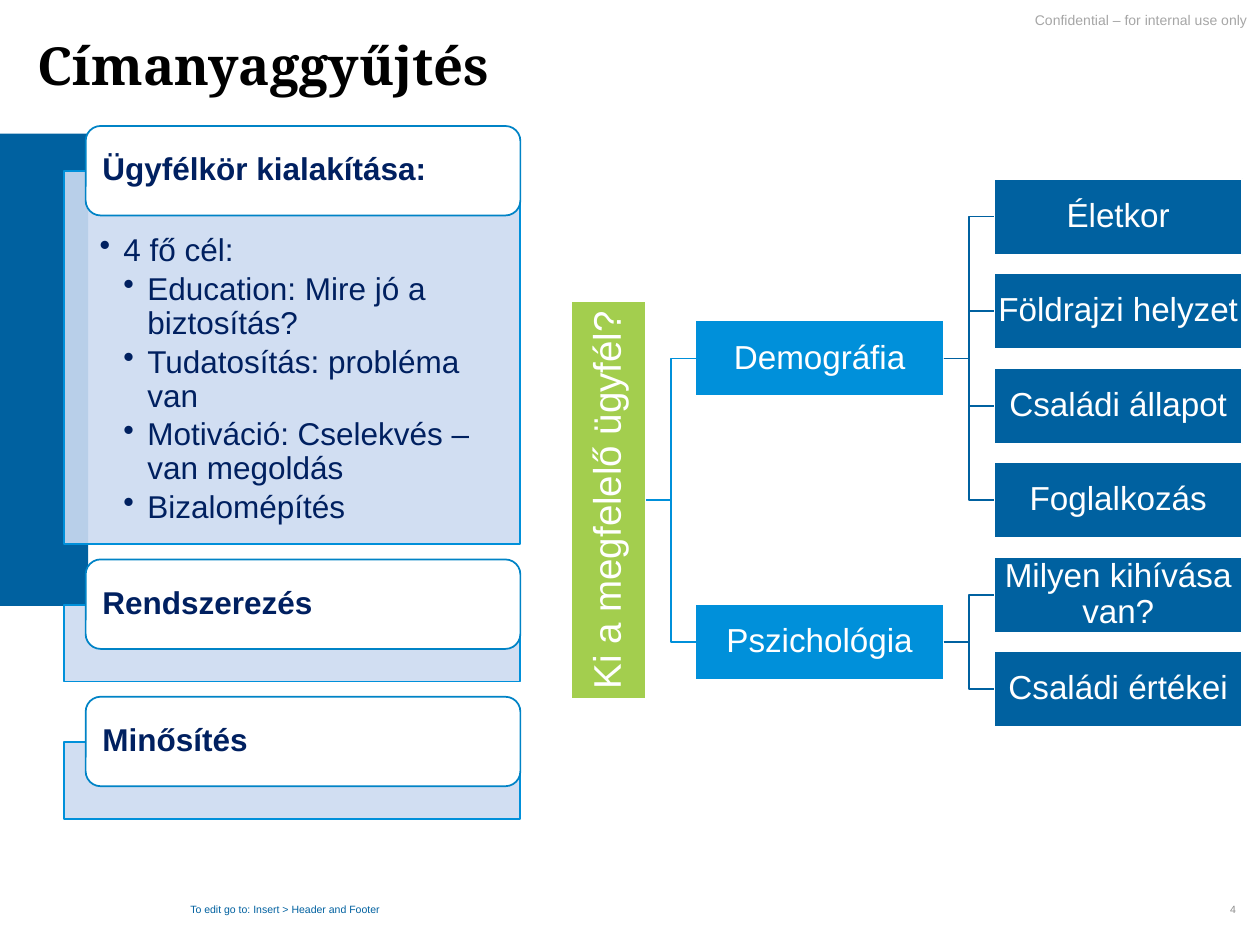
from lxml import etree
from pptx import Presentation
from pptx.dml.color import RGBColor
from pptx.enum import shapes, text
from pptx.oxml.ns import qn
from pptx.util import Inches, Pt

COLORS = {
    "navy": "002060", "blue": "0061A0", "sky": "0090DA", "edge": "0083C6",
    "pale": "CCDBF1", "green": "A3CE4E", "white": "FFFFFF", "black": "000000",
    "gray": "A6A6A6", "number": "8C8C8C",
}
TITLE = "Címanyaggyűjtés"
GOALS = [
    (1, "4 fő cél:"),
    (2, "Education: Mire jó a biztosítás?"),
    (2, "Tudatosítás: probléma van"),
    (2, "Motiváció: Cselekvés – van megoldás"),
    (2, "Bizalomépítés"),
]
STEPS = [
    ("Ügyfélkör kialakítása:", 2.96, GOALS),
    ("Rendszerezés", 0.61, []),
    ("Minősítés", 0.61, []),
]
QUESTION = "Ki a megfelelő ügyfél?"
BRANCHES = [
    ("Demográfia", ["Életkor", "Földrajzi helyzet", "Családi állapot", "Foglalkozás"]),
    ("Pszichológia", ["Milyen kihívása van?", "Családi értékei"]),
]
MARGINAL = [
    ("Confidential – for internal use only", (6.94, 0.11, 3.06, 0.23), 8, "gray",
     text.PP_ALIGN.RIGHT, text.MSO_ANCHOR.TOP, (0.1, 0)),
    ("4", (9.14, 7.02, 0.74, 0.4), 6, "number",
     text.PP_ALIGN.RIGHT, text.MSO_ANCHOR.MIDDLE, (0.07, 0.04)),
    ("To edit go to: Insert > Header and Footer", (1.44, 7.14, 3.38, 0.16), 6, "blue",
     text.PP_ALIGN.LEFT, text.MSO_ANCHOR.MIDDLE, (0.07, 0.04)),
]
STEP_LEFT, STEP_TOP, STEP_WIDTH, STEP_GAP = 0.51, 1.36, 3.62, 0.48
NODE_WIDTH, NODE_HEIGHT, NODE_PITCH = 1.97, 0.6, 0.75
ROOT_LEFT, BRANCH_LEFT, LEAF_LEFT = 4.53, 5.52, 7.89
ROOT_HEIGHT, LEAF_TOP = 3.16, 1.42


def rgb(color):
    return RGBColor.from_string(COLORS[color])


def set_frame(frame, anchor, left, top, right, bottom):
    frame.word_wrap = True
    frame.vertical_anchor = anchor
    frame.margin_left, frame.margin_top = Inches(left), Inches(top)
    frame.margin_right, frame.margin_bottom = Inches(right), Inches(bottom)


def write(paragraph, words, size, color, align=text.PP_ALIGN.LEFT, bold=False,
          font="Arial", spacing=0.9):
    paragraph.alignment = align
    paragraph.line_spacing = spacing
    run = paragraph.add_run()
    run.text = words
    run.font.name, run.font.size, run.font.bold = font, Pt(size), bold
    run.font.color.rgb = rgb(color)


def add_box(slide, box, fill, line=None, kind=shapes.MSO_SHAPE.RECTANGLE):
    shape = slide.shapes.add_shape(kind, *map(Inches, box))
    shape.shadow.inherit = False
    shape.fill.solid()
    shape.fill.fore_color.rgb = rgb(fill)
    if line:
        shape.line.color.rgb = rgb(line)
        shape.line.width = Pt(1)
    else:
        shape.line.fill.background()
    return shape


def add_goals(frame, goals):
    set_frame(frame, text.MSO_ANCHOR.TOP, 0.28, 0.5, 0.28, 0.14)
    for index, (level, words) in enumerate(goals):
        goal = frame.paragraphs[0] if index == 0 else frame.add_paragraph()
        write(goal, words, 18, "navy")
        goal.level = level
        goal.space_after = Pt(2.7)
        properties = goal._p.get_or_add_pPr()
        properties.set("marL", str(Inches(0.19 * level)))
        properties.set("indent", str(Inches(-0.19)))
        etree.SubElement(properties, qn("a:buChar")).set("char", "•")


def add_step(slide, top, heading, height, goals):
    panel = add_box(slide, (STEP_LEFT, top, STEP_WIDTH, height), "pale", "sky")
    tint = panel.fill._xPr.find(qn("a:solidFill"))[0]
    etree.SubElement(tint, qn("a:alpha")).set("val", "90000")
    if goals:
        add_goals(panel.text_frame, goals)
    header = add_box(slide, (STEP_LEFT + 0.17, top - 0.36, STEP_WIDTH - 0.17, 0.71),
                     "white", "edge", shapes.MSO_SHAPE.ROUNDED_RECTANGLE)
    set_frame(header.text_frame, text.MSO_ANCHOR.MIDDLE, 0.1, 0, 0.1, 0)
    write(header.text_frame.paragraphs[0], heading, 18, "navy", bold=True)


def add_node(slide, words, box, fill, size=19, inset=0.01):
    node = add_box(slide, box, fill, "white")
    set_frame(node.text_frame, text.MSO_ANCHOR.MIDDLE, *[inset] * 4)
    write(node.text_frame.paragraphs[0], words, size, "white", text.PP_ALIGN.CENTER)
    return node


def link(slide, parent, child, color):
    elbow = slide.shapes.add_connector(shapes.MSO_CONNECTOR.ELBOW, 0, 0, 0, 0)
    elbow.begin_connect(parent, 3)
    elbow.end_connect(child, 1)
    elbow.line.color.rgb = rgb(color)
    elbow.line.width = Pt(1)
    etree.SubElement(elbow._element.spPr, qn("a:effectLst"))


def add_tree(slide):
    first = 0
    branch_tops = []
    for _, leaves in BRANCHES:
        branch_tops.append(LEAF_TOP + NODE_PITCH * (first + (len(leaves) - 1) / 2))
        first += len(leaves)
    root_middle = sum(branch_tops) / len(branch_tops) + NODE_HEIGHT / 2
    root = add_node(slide, QUESTION,
                    (ROOT_LEFT, root_middle - ROOT_HEIGHT / 2, NODE_HEIGHT, ROOT_HEIGHT),
                    "green", 22, 0.02)
    root.text_frame._txBody.bodyPr.set("vert", "vert270")
    leaf_top = LEAF_TOP
    for (name, leaves), top in zip(BRANCHES, branch_tops):
        branch = add_node(slide, name, (BRANCH_LEFT, top, NODE_WIDTH, NODE_HEIGHT), "sky")
        link(slide, root, branch, "sky")
        for words in leaves:
            leaf = add_node(slide, words, (LEAF_LEFT, leaf_top, NODE_WIDTH, NODE_HEIGHT), "blue")
            link(slide, branch, leaf, "blue")
            leaf_top += NODE_PITCH


def main():
    deck = Presentation()
    deck.slide_width, deck.slide_height = Inches(10), Inches(7.5)
    slide = deck.slides.add_slide(deck.slide_layouts[5])

    title = slide.shapes.title
    title.left, title.top = Inches(0.2), Inches(0.21)
    title.width, title.height = Inches(3.88), Inches(0.61)
    set_frame(title.text_frame, text.MSO_ANCHOR.TOP, 0.1, 0.05, 0.1, 0.05)
    title.text_frame.word_wrap = False
    write(title.text_frame.paragraphs[0], TITLE, 30, "black", bold=True,
          font="Noto Serif", spacing=1.0)

    add_box(slide, (0, 1.06, 0.7, 3.75), "blue")
    for words, box, size, color, align, anchor, (side, edge) in MARGINAL:
        frame = slide.shapes.add_textbox(*map(Inches, box)).text_frame
        set_frame(frame, anchor, side, edge, side, edge)
        write(frame.paragraphs[0], words, size, color, align)

    top = STEP_TOP
    for heading, height, goals in STEPS:
        add_step(slide, top, heading, height, goals)
        top += height + STEP_GAP
    add_tree(slide)
    deck.save("out.pptx")


if __name__ == "__main__":
    main()
